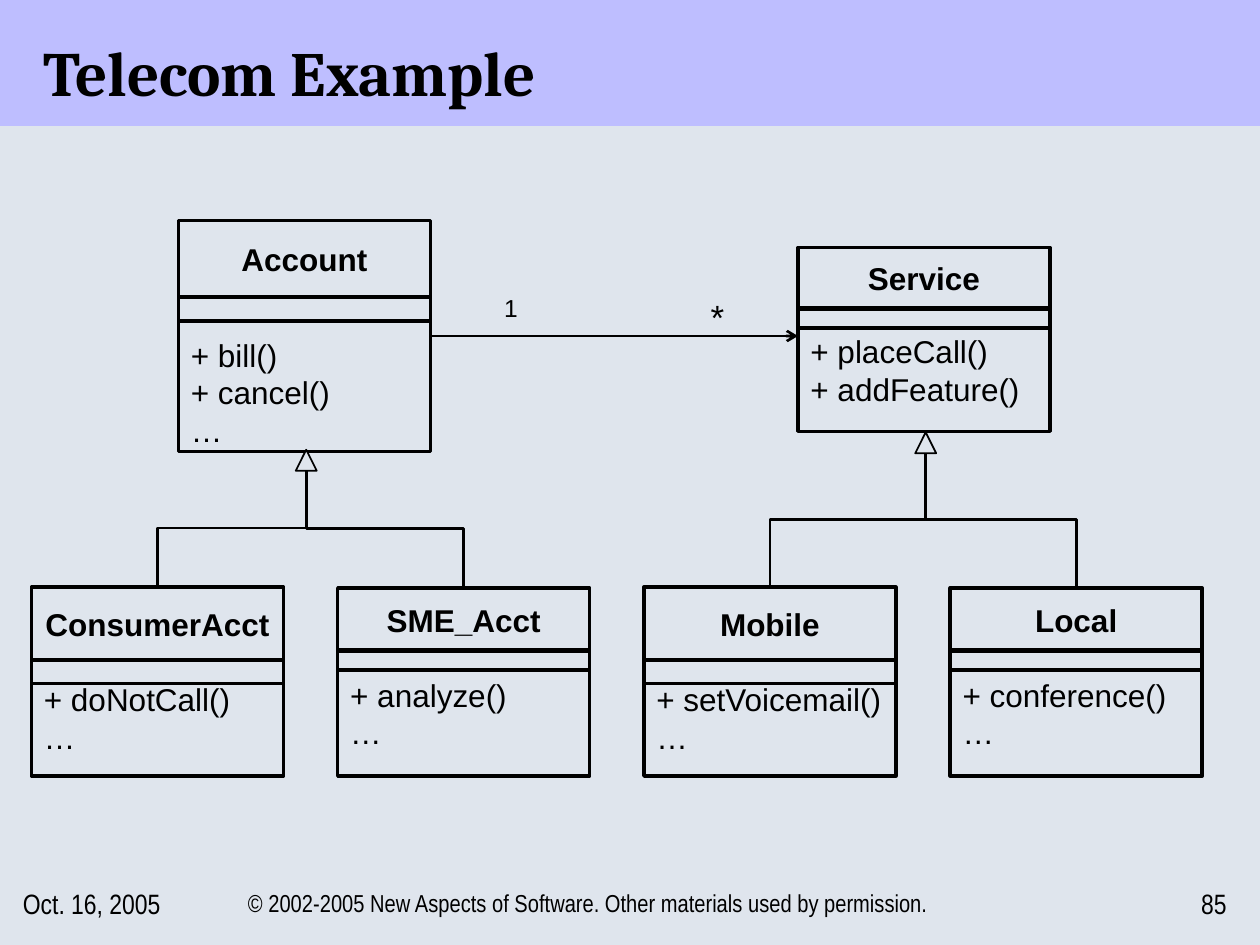
from lxml import etree
from pptx import Presentation
from pptx.dml.color import RGBColor
from pptx.enum.shapes import MSO_CONNECTOR as Link, MSO_SHAPE as Preset
from pptx.enum.text import MSO_ANCHOR as Anchor, PP_ALIGN as Align
from pptx.oxml.ns import qn
from pptx.util import Pt

COLOURS = {"page": "DFE5ED", "band": "BEBEFF", "ink": "000000"}
COLOURS = {name: RGBColor.from_string(code) for name, code in COLOURS.items()}


def write(box, lines, align, anchor, wrap=True, **font):
    """Put one paragraph per line in the box, with the given font values."""
    frame = box.text_frame
    frame.word_wrap = wrap
    frame.vertical_anchor = anchor
    for index, line in enumerate(lines):
        para = frame.paragraphs[0] if index == 0 else frame.add_paragraph()
        para.alignment = align
        span = para.add_run()
        span.text = line
        span.font.color.rgb = COLOURS["ink"]
        for name, value in font.items():
            setattr(span.font, name, value)


def connect(kind, x1, y1, x2, y2):
    """Draw a plain connector without a shadow."""
    line = page.shapes.add_connector(kind, Pt(x1), Pt(y1), Pt(x2), Pt(y2))
    line.line.color.rgb = COLOURS["ink"]
    line.line.width = Pt(1.5)
    etree.SubElement(line._element.spPr, qn("a:effectLst"))
    return line


deck = Presentation()
deck.slide_width, deck.slide_height = Pt(720), Pt(540)
page = deck.slides.add_slide(deck.slide_layouts[6])
page.background.fill.solid()
page.background.fill.fore_color.rgb = COLOURS["page"]

# Title band
band = page.shapes.add_shape(Preset.RECTANGLE, 0, 0, Pt(720), Pt(72))
band.shadow.inherit = False
band.fill.solid()
band.fill.fore_color.rgb = COLOURS["band"]
band.line.fill.background()

# Title, footer and multiplicities
labels = [
    ("Telecom Example", 18, 12, 690, 54, Align.LEFT, Anchor.BOTTOM,
     {"size": Pt(36), "name": "Cambria", "bold": True}),
    ("1", 281, 164, 18, 24, Align.CENTER, Anchor.TOP, {"size": Pt(14), "name": "Arial"}),
    ("*", 399, 165.5, 18, 32, Align.CENTER, Anchor.TOP, {"size": Pt(20), "name": "Arial"}),
    ("Oct. 16, 2005", 6, 498, 120, 36, Align.LEFT, Anchor.MIDDLE,
     {"size": Pt(16), "name": "Arial Narrow"}),
    ("© 2002-2005 New Aspects of Software. Other materials used by permission.",
     126, 498, 420, 36, Align.CENTER, Anchor.MIDDLE,
     {"size": Pt(14), "name": "Arial Narrow"}),
    ("85", 666, 498, 42, 36, Align.RIGHT, Anchor.MIDDLE,
     {"size": Pt(16), "name": "Arial Narrow"}),
]
for text, left, top, width, height, align, anchor, font in labels:
    box = page.shapes.add_textbox(Pt(left), Pt(top), Pt(width), Pt(height))
    write(box, [text], align, anchor, **font)

# Classes: name, left, top, heights of name, attribute and operation parts,
# top inset of the operations, operations
CLASS_WIDTH = 144
FIRST, STEP = 18, 175
classes = [
    ("Account", 102, 126, 44, 14, 88, 24, ["+ bill()", "+ cancel()", "…"]),
    ("Service", 456, 141.5, 35, 11.5, 70, 3.6, ["+ placeCall()", "+ addFeature()"]),
    ("ConsumerAcct", FIRST, 335.5, 42, 13.5, 66, 3.6, ["+ doNotCall()", "…"]),
    ("SME_Acct", FIRST + STEP, 336, 36, 11.5, 71.5, 3.6, ["+ analyze()", "…"]),
    ("Mobile", FIRST + 2 * STEP, 335.5, 42, 13.5, 66, 3.6, ["+ setVoicemail()", "…"]),
    ("Local", FIRST + 3 * STEP, 336, 36, 11.5, 71.5, 3.6, ["+ conference()", "…"]),
]
for name, left, top, head, strip, body, inset, operations in classes:
    group = page.shapes.add_group_shape()
    parts = []
    for part_top, height in [(top, head), (top + head, body), (top + head - 0.5, strip)]:
        part = group.shapes.add_shape(
            Preset.RECTANGLE, Pt(left), Pt(part_top), Pt(CLASS_WIDTH), Pt(height))
        part.shadow.inherit = False
        part.fill.background()
        part.line.color.rgb = COLOURS["ink"]
        part.line.width = Pt(2)
        parts.append(part)
    font = {"size": Pt(18), "name": "Arial"}
    write(parts[0], [name], Align.CENTER, Anchor.MIDDLE, False, bold=True, **font)
    write(parts[1], operations, Align.LEFT, Anchor.MIDDLE, False, **font)
    parts[1].text_frame.margin_top = Pt(inset)

# Association with an open arrowhead
association = connect(Link.STRAIGHT, 246, 192, 456, 192)
etree.SubElement(association.line._get_or_add_ln(), qn("a:tailEnd"), type="arrow")

# Inheritance: apex of the triangle, then the two subclasses (column, top)
TRIANGLE = 12
trees = [
    (175, 257, [(0, 334.5), (1, 335)]),
    (529, 247, [(2, 334.5), (3, 335)]),
]
for apex_x, apex_y, subclasses in trees:
    triangle = page.shapes.add_shape(
        Preset.ISOSCELES_TRIANGLE, Pt(apex_x - TRIANGLE / 2), Pt(apex_y),
        Pt(TRIANGLE), Pt(TRIANGLE))
    triangle.shadow.inherit = False
    triangle.fill.solid()
    triangle.fill.fore_color.rgb = COLOURS["page"]
    triangle.line.color.rgb = COLOURS["ink"]
    triangle.line.width = Pt(1)
    base_y = apex_y + TRIANGLE
    for column, child_y in subclasses:
        child_x = FIRST + column * STEP + CLASS_WIDTH / 2
        # Laid out sideways around its centre, then turned to leave upwards
        mid_x, mid_y = (child_x + apex_x) / 2, (child_y + base_y) / 2
        half_rise, half_run = (child_y - base_y) / 2, (child_x - apex_x) / 2
        elbow = connect(Link.ELBOW, mid_x - half_rise, mid_y + half_run,
                        mid_x + half_rise, mid_y - half_run)
        elbow._element.spPr.find(qn("a:xfrm")).set("rot", str(270 * 60000))

deck.save("out.pptx")
